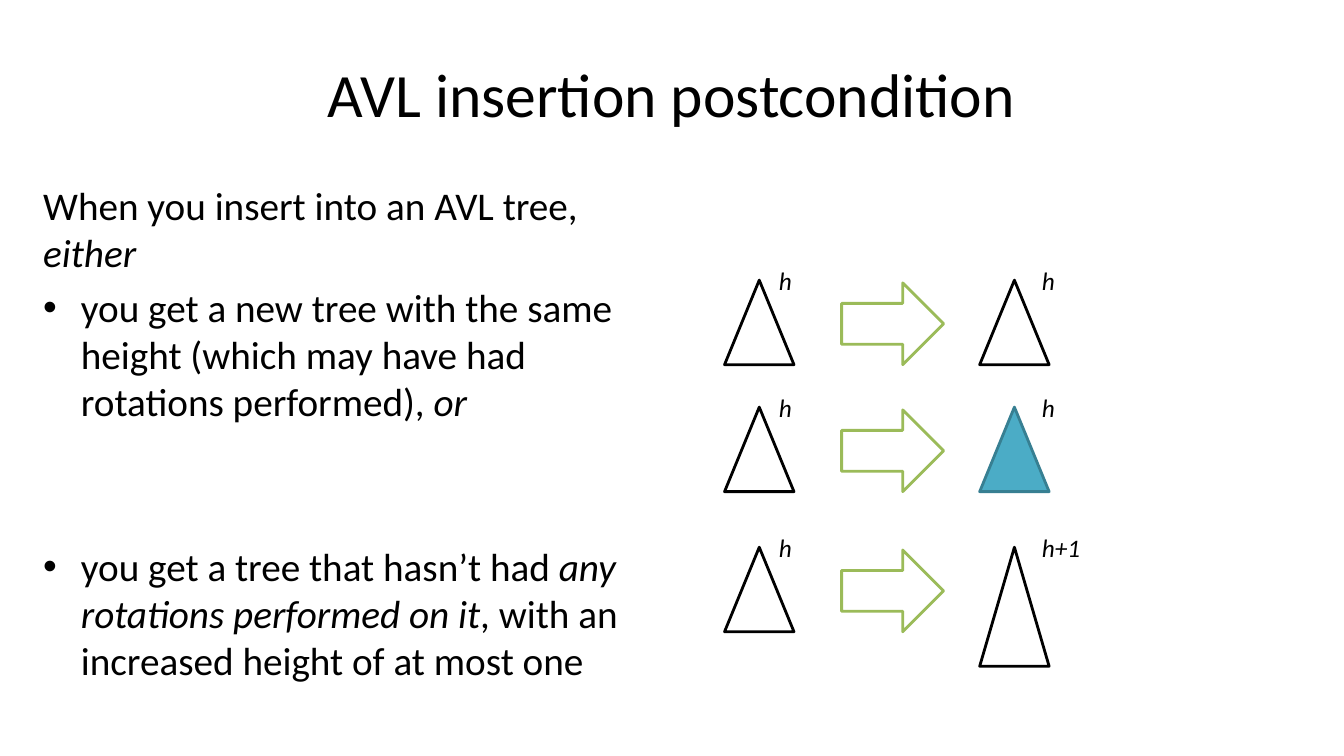
"""Build a slide on the postcondition of AVL insertion."""
from lxml.etree import SubElement
from pptx import Presentation
from pptx.dml.color import RGBColor
from pptx.enum.shapes import MSO_SHAPE
from pptx.enum.text import MSO_ANCHOR, PP_ALIGN
from pptx.oxml.ns import qn
from pptx.util import Cm, Pt


def color(value):
    return RGBColor.from_string(value)


def write(paragraph, text, size=28, italic=False):
    span = paragraph.add_run()
    span.text = text
    span.font.name = "Calibri"
    span.font.size = Pt(size)
    span.font.italic = italic
    span.font.color.rgb = color("000000")


deck = Presentation()
deck.slide_width, deck.slide_height = Cm(33.87), Cm(19.05)
page = deck.slides.add_slide(deck.slide_layouts[6])

title = page.shapes.add_textbox(Cm(1.69), Cm(0.76), Cm(30.48), Cm(3.18)).text_frame
title.word_wrap = True
title.vertical_anchor = MSO_ANCHOR.MIDDLE
title.paragraphs[0].alignment = PP_ALIGN.CENTER
write(title.paragraphs[0], "AVL insertion postcondition", size=44)

body = page.shapes.add_textbox(Cm(0.84), Cm(4.45), Cm(15.88), Cm(14.25)).text_frame
body.word_wrap = True
statements = [
    (False, 0, [("When you insert into an AVL tree, ", False), ("either", True)]),
    (True, 5.6, [
        ("you get a new tree with the same height (which may have had rotations performed), ", False),
        ("or", True),
    ]),
    (True, 84, [
        ("you get a tree that hasn’t had ", False),
        ("any rotations performed on it", True),
        (", with an increased height of at most one", False),
    ]),
]
for index, (bulleted, gap, spans) in enumerate(statements):
    para = body.add_paragraph() if index else body.paragraphs[0]
    if bulleted:
        properties = para._p.get_or_add_pPr()
        properties.set("marL", str(Cm(0.95)))
        properties.set("indent", str(-Cm(0.95)))
        SubElement(properties, qn("a:buFont"), typeface="Arial")
        SubElement(properties, qn("a:buChar"), char="•")
    para.space_before = Pt(gap)
    for text, italic in spans:
        write(para, text, italic=italic)

cases = [
    (7.06, "h", 2.13, "FFFFFF", "000000"),
    (10.26, "h", 2.13, "4BACC6", "377F92"),
    (13.79, "h+1", 3, "FFFFFF", "000000"),
]
for top, new_height, new_size, new_fill, new_line in cases:
    outlines = [
        (MSO_SHAPE.RIGHT_ARROW, 21.21, top + 0.07, 2.57, 2.06, "FFFFFF", "9BBB59"),
        (MSO_SHAPE.ISOSCELES_TRIANGLE, 18.26, top, 1.75, 2.13, "FFFFFF", "000000"),
        (MSO_SHAPE.ISOSCELES_TRIANGLE, 24.69, top, 1.75, new_size, new_fill, new_line),
    ]
    for kind, left, upper, width, height, fill, line in outlines:
        shape = page.shapes.add_shape(kind, Cm(left), Cm(upper), Cm(width), Cm(height))
        shape.shadow.inherit = False
        shape.fill.solid()
        shape.fill.fore_color.rgb = color(fill)
        shape.line.color.rgb = color(line)
        shape.line.width = Pt(2)

    for left, text in [(19.38, "h"), (26.01, new_height)]:
        width = 0.84 if text == "h" else 1.5
        label = page.shapes.add_textbox(Cm(left), Cm(top - 0.5), Cm(width), Cm(1.02))
        label.text_frame.word_wrap = False
        write(label.text_frame.paragraphs[0], text, size=18, italic=True)

deck.save("out.pptx")
